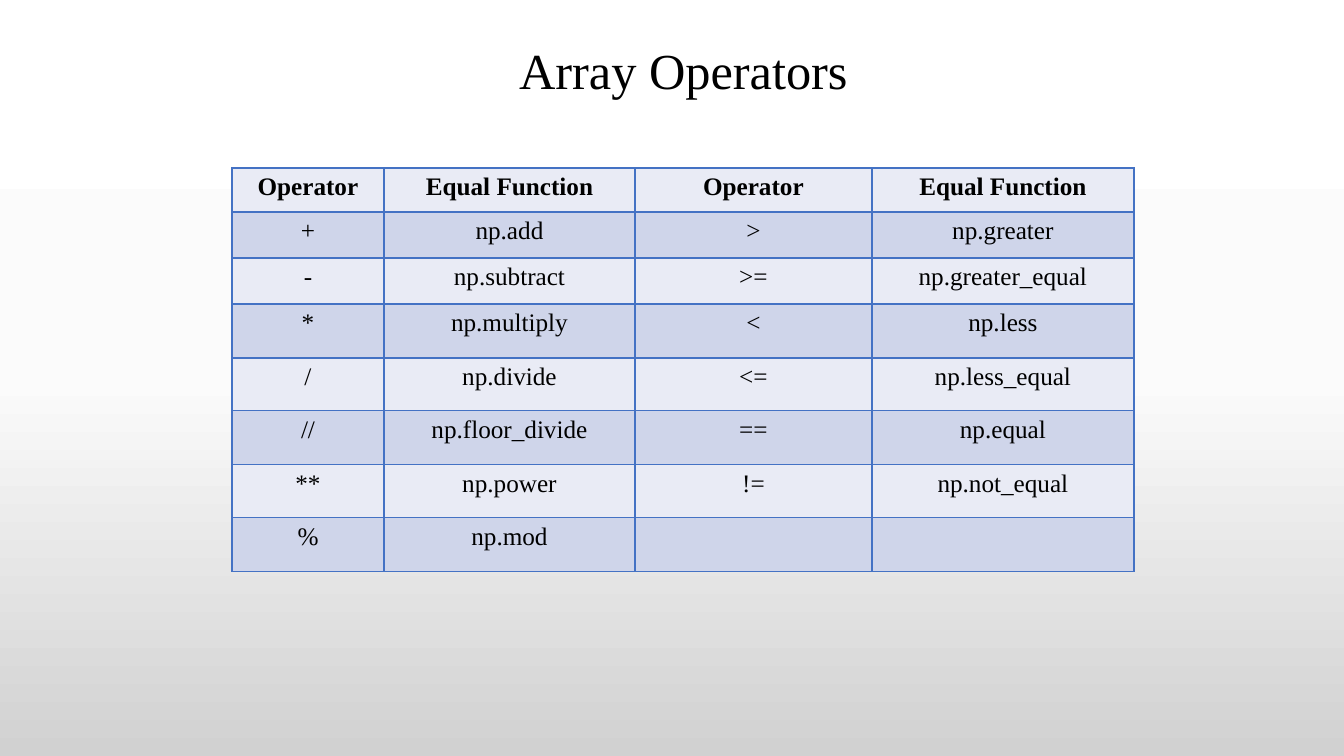
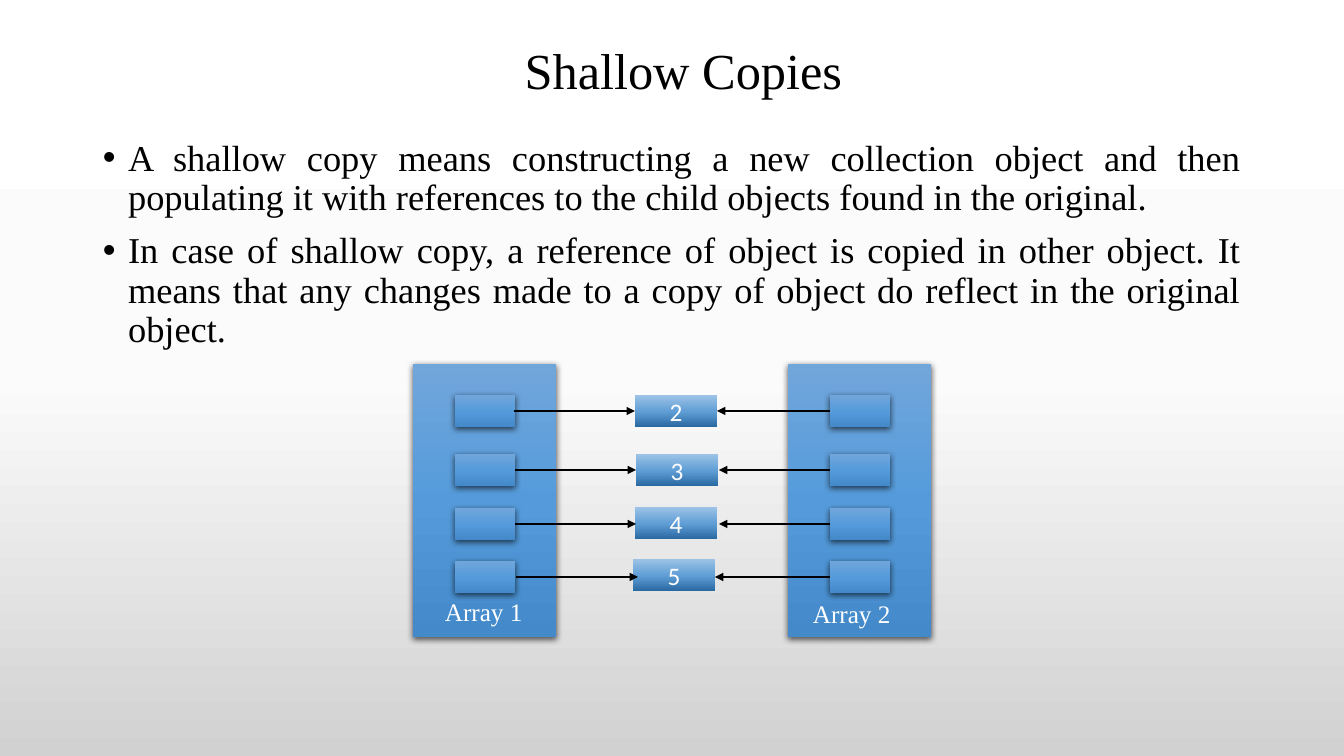
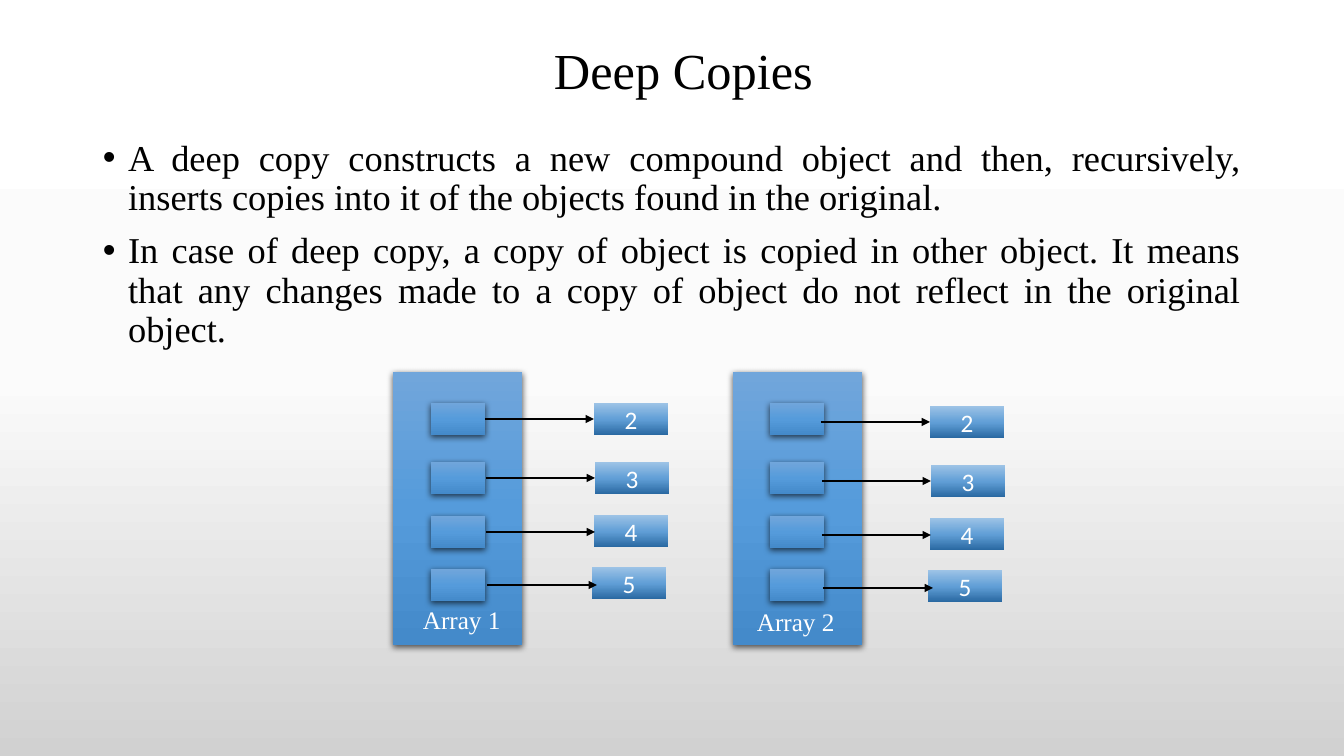
from dataclasses import dataclass
from typing import Any

from lxml import etree
from pptx import Presentation
from pptx import util as u
from pptx.dml import color
from pptx.enum import shapes, text
from pptx.oxml import ns

SCALE = 12192000 / 1344
SERIF = "Times New Roman"
SANS = "Calibri"
COLORS = {
    "ink": "000000",
    "light": "FFFFFF",
    "border": "4472C4",
    "pale": "E9EBF5",
    "band": "CFD5EA",
}
GRADIENTS = {
    "page": ((0, "FFFFFF"), (50, "FBFBFB"), (100, "D1D1D1")),
    "array": ((0, "71A6DB"), (50, "559BDB"), (100, "448ACA")),
    "value": ((0, "9DC3E6"), (52, "609ED6"), (100, "2A69A2")),
}
COLUMN_WIDTHS = (152, 251, 237, 262)
ROW_HEIGHTS = (44, 46, 46, 54, 53, 54, 53, 54)
OPERATORS = (
    ("Operator", "Equal Function", "Operator", "Equal Function"),
    ("+", "np.add", ">", "np.greater"),
    ("-", "np.subtract", ">=", "np.greater_equal"),
    ("*", "np.multiply", "<", "np.less"),
    ("/", "np.divide", "<=", "np.less_equal"),
    ("//", "np.floor_divide", "==", "np.equal"),
    ("**", "np.power", "!=", "np.not_equal"),
    ("%", "np.mod", "", ""),
)
PANEL_HEIGHT = 273
BOX_HEIGHT = 32
SLOT_OFFSETS = (31, 90, 144, 197)
VALUE_OFFSETS = (31, 90, 143, 195)
VALUE_SHIFTS = (0, 1, 0, -2)
ARROW_OFFSETS = (47, 106, 160, 213)


@dataclass(frozen=True)
class ArrayPanel:
    label: str
    left: int
    width: int
    slot_left: int
    slot_width: int
    label_left: int
    label_top: int
    label_width: int


@dataclass(frozen=True)
class ValueColumn:
    left: int
    width: int
    drop: int = 0


@dataclass(frozen=True)
class ArrowColumn:
    start: int
    end: int
    start_shifts: tuple[int, ...] = (0, 1, 1, 2)
    end_shifts: tuple[int, ...] = (0, 1, 1, 3)
    drop: int = 0


@dataclass(frozen=True)
class CopySlide:
    title: str
    points: tuple[str, ...]
    top: int
    panels: tuple[ArrayPanel, ...]
    values: tuple[ValueColumn, ...]
    arrows: tuple[ArrowColumn, ...]


COPY_SLIDES = (
    CopySlide(
        "Shallow Copies",
        (
            "A shallow copy means constructing a new collection object and then "
            "populating it with references to the child objects found in the original.",
            "In case of shallow copy, a reference of object is copied in other object. "
            "It means that any changes made to a copy of object do reflect in the "
            "original object.",
        ),
        364,
        (
            ArrayPanel("Array 1", 413, 143, 455, 60, 435, 227, 118),
            ArrayPanel("Array 2", 788, 143, 830, 60, 803, 229, 112),
        ),
        (ValueColumn(635, 82),),
        (
            ArrowColumn(514, 635),
            ArrowColumn(830, 717, (0, 0, 0, 0), (0, 2, 2, -2)),
        ),
    ),
    CopySlide(
        "Deep Copies",
        (
            "A deep copy constructs a new compound object and then, recursively, "
            "inserts copies into it of the objects found in the original.",
            "In case of deep copy, a copy of object is copied in other object. It means "
            "that any changes made to a copy of object do not reflect in the original "
            "object.",
        ),
        372,
        (
            ArrayPanel("Array 1", 393, 129, 431, 54, 413, 227, 107),
            ArrayPanel("Array 2", 733, 129, 770, 54, 747, 229, 102),
        ),
        (ValueColumn(594, 74), ValueColumn(930, 74, 3)),
        (ArrowColumn(485, 594), ArrowColumn(821, 930, drop=3)),
    ),
)


def px(length: int) -> int:
    return u.Emu(round(length * SCALE))


def area(left: int, top: int, width: int, height: int) -> tuple[int, ...]:
    return px(left), px(top), px(width), px(height)


def child(parent: Any, tag: str, **attributes: Any) -> Any:
    values = {key: str(value) for key, value in attributes.items()}
    return etree.SubElement(parent, ns.qn(tag), values)


def set_gradient(fill: Any, owner: Any, name: str) -> None:
    fill.gradient()
    fill.gradient_angle = 270
    stops = next(owner.iter(ns.qn("a:gsLst")))
    for stop in list(stops):
        stops.remove(stop)
    for position, value in GRADIENTS[name]:
        stop = child(stops, "a:gs", pos=position * 1000)
        child(stop, "a:srgbClr", val=value)


def add_span(para: Any, words: str, size: int, ink: str = "ink",
             face: str = SERIF, bold: bool = False) -> None:
    span = para.add_run()
    span.text = words
    span.font.size = u.Pt(size)
    span.font.name = face
    span.font.bold = bold
    span.font.color.rgb = color.RGBColor.from_string(COLORS[ink])


def add_page(deck: Any, title: str) -> Any:
    page = deck.slides.add_slide(deck.slide_layouts[6])
    box = page.shapes.add_textbox(*area(70, 43, 1227, 60))
    box.text_frame.word_wrap = True
    box.text_frame.vertical_anchor = text.MSO_ANCHOR.MIDDLE
    para = box.text_frame.paragraphs[0]
    para.alignment = text.PP_ALIGN.CENTER
    para.line_spacing = 0.9
    add_span(para, title, 36)
    return page


def add_points(page: Any, points: tuple[str, ...]) -> None:
    box = page.shapes.add_textbox(*area(93, 135, 1159, 546))
    frame = box.text_frame
    frame.word_wrap = True
    for index, point in enumerate(points):
        para = frame.add_paragraph() if index else frame.paragraphs[0]
        para.alignment = text.PP_ALIGN.JUSTIFY
        para.line_spacing = 0.9
        para.space_before = u.Pt(10 if index else 0)
        properties = para._p.get_or_add_pPr()
        properties.set("marL", str(u.Inches(0.25)))
        properties.set("indent", str(-u.Inches(0.25)))
        child(properties, "a:buFont", typeface="Arial")
        child(properties, "a:buChar", char="•")
        add_span(para, point, 26)


def add_block(group: Any, place: tuple[int, ...], gradient: str) -> Any:
    block = group.shapes.add_shape(shapes.MSO_SHAPE.RECTANGLE, *place)
    set_gradient(block.fill, block._element.spPr, gradient)
    block.line.fill.background()
    block.shadow.inherit = False
    return block


def add_shadowed_block(group: Any, place: tuple[int, ...]) -> None:
    block = add_block(group, place, "array")
    effects = block._element.spPr.find(ns.qn("a:effectLst"))
    shadow = child(effects, "a:outerShdw", blurRad=u.Pt(4.5), dist=u.Pt(1.5),
                   dir=5400000, algn="ctr", rotWithShape=0)
    shade = child(shadow, "a:srgbClr", val=COLORS["ink"])
    child(shade, "a:alpha", val=63000)


def add_panel(group: Any, panel: ArrayPanel, top: int) -> None:
    add_shadowed_block(group, area(panel.left, top, panel.width, PANEL_HEIGHT))
    for offset in SLOT_OFFSETS:
        add_shadowed_block(
            group, area(panel.slot_left, top + offset, panel.slot_width, BOX_HEIGHT))


def add_label(group: Any, panel: ArrayPanel, top: int) -> None:
    box = group.shapes.add_textbox(
        *area(panel.label_left, top + panel.label_top, panel.label_width, 40))
    box.text_frame.word_wrap = True
    box.text_frame.auto_size = text.MSO_AUTO_SIZE.SHAPE_TO_FIT_TEXT
    add_span(box.text_frame.paragraphs[0], panel.label, 18, "light")


def add_values(group: Any, column: ValueColumn, top: int) -> None:
    for number, (shift, offset) in enumerate(zip(VALUE_SHIFTS, VALUE_OFFSETS), 2):
        block = add_block(
            group,
            area(column.left + shift, top + offset + column.drop,
                 column.width, BOX_HEIGHT),
            "value")
        block.text_frame.vertical_anchor = text.MSO_ANCHOR.MIDDLE
        para = block.text_frame.paragraphs[0]
        para.alignment = text.PP_ALIGN.CENTER
        add_span(para, str(number), 18, "light", SANS)


def add_arrows(group: Any, column: ArrowColumn, top: int) -> None:
    rows = zip(column.start_shifts, column.end_shifts, ARROW_OFFSETS)
    for start_shift, end_shift, offset in rows:
        level = px(top + offset + column.drop)
        arrow = group.shapes.add_connector(
            shapes.MSO_CONNECTOR.STRAIGHT,
            px(column.start + start_shift), level,
            px(column.end + end_shift), level)
        arrow.line.width = u.Pt(1.5)
        arrow.line.color.rgb = color.RGBColor.from_string(COLORS["ink"])
        child(arrow.line._get_or_add_ln(), "a:tailEnd", type="triangle")
        child(arrow._element.spPr, "a:effectLst")


def add_copy_slide(deck: Any, content: CopySlide) -> None:
    page = add_page(deck, content.title)
    add_points(page, content.points)
    group = page.shapes.add_group_shape()
    for panel in content.panels:
        add_panel(group, panel, content.top)
    for values in content.values:
        add_values(group, values, content.top)
    for arrows in content.arrows:
        add_arrows(group, arrows, content.top)
    for panel in content.panels:
        add_label(group, panel, content.top)


def style_cell(cell: Any, fill: str) -> None:
    properties = cell._tc.get_or_add_tcPr()
    for side in ("a:lnL", "a:lnR", "a:lnT", "a:lnB"):
        edge = child(properties, side, w=u.Pt(1))
        child(child(edge, "a:solidFill"), "a:srgbClr", val=COLORS["border"])
    cell.fill.solid()
    cell.fill.fore_color.rgb = color.RGBColor.from_string(COLORS[fill])


def add_operator_slide(deck: Any) -> None:
    page = add_page(deck, "Array Operators")
    table = page.shapes.add_table(
        len(ROW_HEIGHTS), len(COLUMN_WIDTHS),
        *area(232, 168, sum(COLUMN_WIDTHS), sum(ROW_HEIGHTS))).table
    table.first_row = False
    table.horz_banding = False
    for column, width in zip(table.columns, COLUMN_WIDTHS):
        column.width = px(width)
    for index, (row, height) in enumerate(zip(table.rows, ROW_HEIGHTS)):
        row.height = px(height)
        for cell, words in zip(row.cells, OPERATORS[index]):
            style_cell(cell, "band" if index % 2 else "pale")
            if words:
                para = cell.text_frame.paragraphs[0]
                para.alignment = text.PP_ALIGN.CENTER
                add_span(para, words, 18, bold=index == 0)


def main() -> None:
    deck = Presentation()
    deck.slide_width, deck.slide_height = px(1344), px(756)
    master = deck.slide_master
    set_gradient(master.background.fill, master.element, "page")
    add_operator_slide(deck)
    for content in COPY_SLIDES:
        add_copy_slide(deck, content)
    deck.save("out.pptx")


if __name__ == "__main__":
    main()
